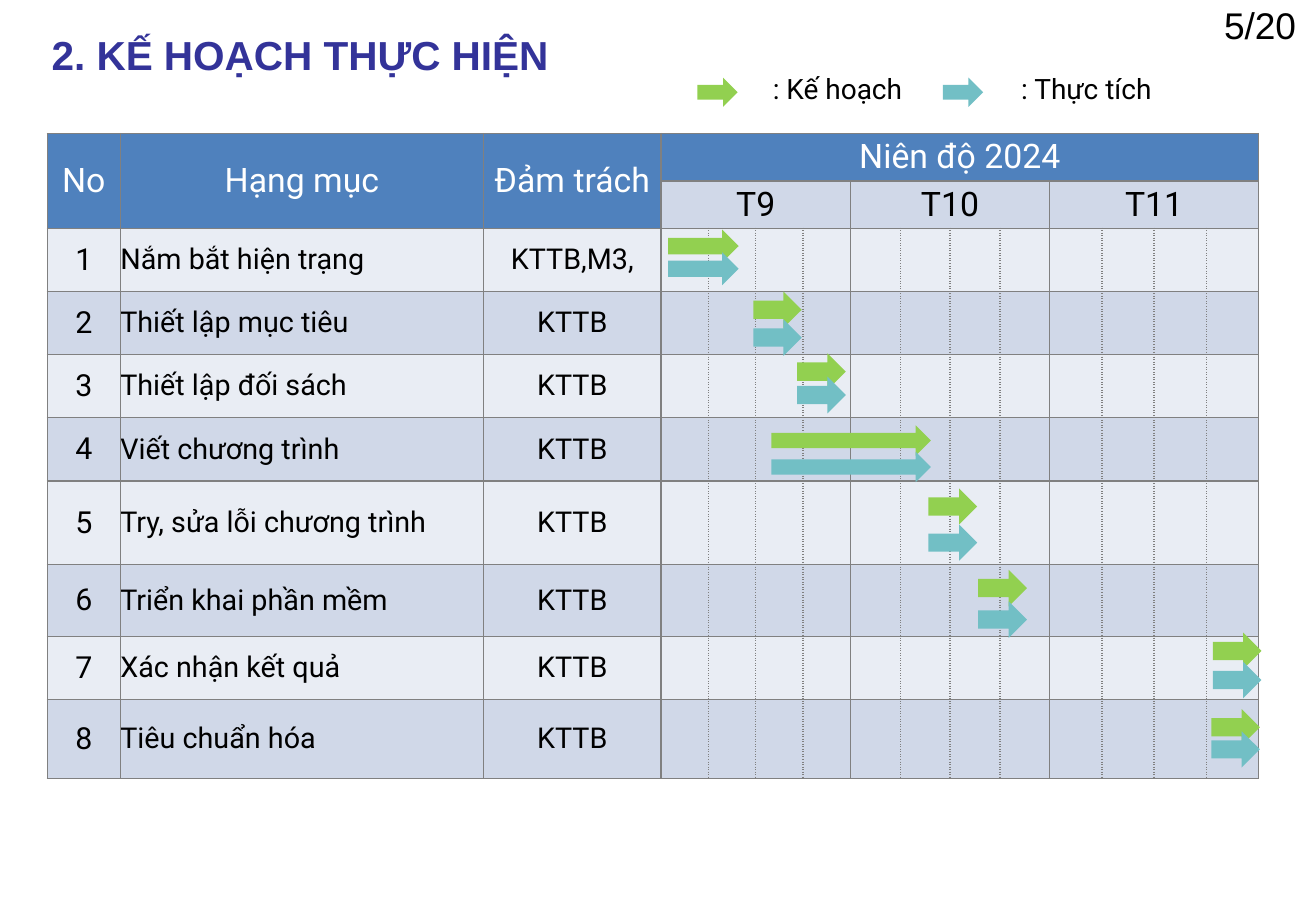
from dataclasses import dataclass

from lxml import etree
from pptx import Presentation
from pptx.dml.color import RGBColor
from pptx.enum.shapes import MSO_SHAPE
from pptx.enum.text import MSO_ANCHOR, MSO_AUTO_SIZE, PP_ALIGN
from pptx.oxml.ns import qn
from pptx.util import Inches, Pt

CENTER, LEFT = PP_ALIGN.CENTER, PP_ALIGN.LEFT
TOP, MIDDLE = MSO_ANCHOR.TOP, MSO_ANCHOR.MIDDLE
RIGHT_ARROW = MSO_SHAPE.RIGHT_ARROW
NO_AUTOFIT = MSO_AUTO_SIZE.NONE

PAGE_WIDTH, PAGE_HEIGHT = 10.83, 7.5
TABLE_LEFT, TABLE_TOP = 0.39, 1.1
WEEKS_PER_MONTH = 4
MONTHS = {"T9": 0.39, "T10": 0.41, "T11": 0.43}  # width of one week
WEEK_WIDTHS = [width for width in MONTHS.values() for _ in range(WEEKS_PER_MONTH)]
LABEL_WIDTHS = [0.6, 2.99, 1.46]
LABEL_COUNT = len(LABEL_WIDTHS)
COLUMN_WIDTHS = LABEL_WIDTHS + WEEK_WIDTHS
HEADER_HEIGHTS = [0.39, 0.39]
HEADER_COUNT = len(HEADER_HEIGHTS)

BLACK, WHITE, NAVY = "000000", "FFFFFF", "333399"
BLUE, PALE_BLUE, PALE_GRAY, GRAY = "4F81BD", "D0D8E8", "E9EDF4", "808080"
PLAN_GREEN, ACTUAL_TEAL = "92D050", "72BFC5"


@dataclass(frozen=True)
class Area:
    """A rectangle in inches."""
    left: float
    top: float
    width: float
    height: float


@dataclass(frozen=True)
class Style:
    size: float
    color: str = BLACK
    font: str = "Roboto"
    bold: bool = False
    align: PP_ALIGN = CENTER


@dataclass(frozen=True)
class Task:
    """Start and end count weeks; arrow tops and height are shares of the row."""
    name: str
    row_height: float
    start: float
    end: float
    plan_top: float
    actual_top: float
    arrow_height: float
    owner: str = "KTTB"


@dataclass(frozen=True)
class LegendItem:
    """Positions are percentages of the page width."""
    label: str
    color: str
    arrow_left: float
    label_left: float


TASKS = [
    Task("Nắm bắt hiện trạng", 0.52, 0.15, 1.64, 0.02, 0.38, 0.52, "KTTB,M3,"),
    Task("Thiết lập mục tiêu", 0.52, 1.95, 2.97, 0, 0.44, 0.58),
    Task("Thiết lập đối sách", 0.52, 2.87, 3.9, -0.02, 0.35, 0.58),
    Task("Viết chương trình", 0.52, 2.33, 5.61, 0.12, 0.54, 0.48),
    Task("Try, sửa lỗi chương trình", 0.69, 5.56, 6.54, 0.09, 0.52, 0.43),
    Task("Triển khai phần mềm", 0.59, 6.56, 7.54, 0.07, 0.51, 0.51),
    Task("Xác nhận kết quả", 0.52, 11.12, 12.05, -0.06, 0.4, 0.58),
    Task("Tiêu chuẩn hóa", 0.65, 11.09, 12.02, 0.12, 0.4, 0.46),
]
LEGEND = [
    LegendItem(": Kế hoạch", PLAN_GREEN, 53, 55.96),
    LegendItem(": Thực tích", ACTUAL_TEAL, 71.65, 74.88),
]
ROW_HEIGHTS = HEADER_HEIGHTS + [task.row_height for task in TASKS]


def rgb(color: str) -> RGBColor:
    return RGBColor.from_string(color)


def page_area(left: float, top: float, width: float, height: float) -> Area:
    """Turn percentages of the page into inches."""
    return Area(left * PAGE_WIDTH / 100, top * PAGE_HEIGHT / 100,
                width * PAGE_WIDTH / 100, height * PAGE_HEIGHT / 100)


def week_left(week: float) -> float:
    whole = min(int(week), len(WEEK_WIDTHS) - 1)
    return (TABLE_LEFT + sum(LABEL_WIDTHS) + sum(WEEK_WIDTHS[:whole])
            + (week - whole) * WEEK_WIDTHS[whole])


def write(frame, text: str, style: Style) -> None:
    para = frame.paragraphs[0]
    para.text = text
    para.alignment = style.align
    for span in para.runs:
        span.font.size = Pt(style.size)
        span.font.name = style.font
        span.font.bold = style.bold
        span.font.color.rgb = rgb(style.color)


def add_label(page, area: Area, text: str, style: Style, inset: bool = True) -> None:
    box = page.shapes.add_textbox(Inches(area.left), Inches(area.top),
                                  Inches(area.width), Inches(area.height))
    frame = box.text_frame
    frame.word_wrap = True
    frame.vertical_anchor = MIDDLE
    if not inset:
        frame.margin_left = frame.margin_right = frame.margin_top = frame.margin_bottom = 0
    write(frame, text, style)


def add_arrow(page, area: Area, color: str) -> None:
    arrow = page.shapes.add_shape(RIGHT_ARROW, Inches(area.left), Inches(area.top),
                                  Inches(area.width), Inches(area.height))
    arrow.shadow.inherit = False
    arrow.fill.solid()
    arrow.fill.fore_color.rgb = rgb(color)
    arrow.line.fill.background()


def set_borders(cell, dotted_sides: str) -> None:
    properties = cell._tc.get_or_add_tcPr()
    for side in "LRTB":
        line = etree.SubElement(properties, qn(f"a:ln{side}"), w=str(Pt(1)))
        fill = etree.SubElement(line, qn("a:solidFill"))
        etree.SubElement(fill, qn("a:srgbClr"), val=GRAY)
        dash = "sysDot" if side in dotted_sides else "solid"
        etree.SubElement(line, qn("a:prstDash"), val=dash)


def cell_color(row: int, column: int) -> str:
    if row == 0 or (row < HEADER_COUNT and column < LABEL_COUNT):
        return BLUE
    return PALE_BLUE if row % 2 else PALE_GRAY


def dotted_sides(row: int, column: int) -> str:
    """Weeks inside one month are parted by dotted lines."""
    if row < HEADER_COUNT or column < LABEL_COUNT:
        return ""
    week = (column - LABEL_COUNT) % WEEKS_PER_MONTH
    return ("L" if week > 0 else "") + ("R" if week < WEEKS_PER_MONTH - 1 else "")


def add_schedule(page) -> None:
    table = page.shapes.add_table(
        len(ROW_HEIGHTS), len(COLUMN_WIDTHS), Inches(TABLE_LEFT), Inches(TABLE_TOP),
        Inches(sum(COLUMN_WIDTHS)), Inches(sum(ROW_HEIGHTS))).table
    table.first_row = table.horz_banding = False
    for column, width in zip(table.columns, COLUMN_WIDTHS):
        column.width = Inches(width)
    for row_index, height in enumerate(ROW_HEIGHTS):
        table.rows[row_index].height = Inches(height)
        for column_index in range(len(COLUMN_WIDTHS)):
            cell = table.cell(row_index, column_index)
            cell.margin_left = cell.margin_right = cell.margin_top = cell.margin_bottom = 0
            cell.vertical_anchor = MIDDLE
            set_borders(cell, dotted_sides(row_index, column_index))
            cell.fill.solid()
            cell.fill.fore_color.rgb = rgb(cell_color(row_index, column_index))

    for column_index, text in enumerate(["No", "Hạng mục", "Đảm trách", "Niên độ 2024"]):
        cell = table.cell(0, column_index)
        is_label = column_index < LABEL_COUNT
        cell.merge(table.cell(1, column_index) if is_label
                   else table.cell(0, len(COLUMN_WIDTHS) - 1))
        write(cell.text_frame, text, Style(20, WHITE))
    for month_index, month in enumerate(MONTHS):
        first = LABEL_COUNT + month_index * WEEKS_PER_MONTH
        cell = table.cell(1, first)
        cell.merge(table.cell(1, first + WEEKS_PER_MONTH - 1))
        write(cell.text_frame, month, Style(20))
    for number, task in enumerate(TASKS, 1):
        entries = [(str(number), Style(18)), (task.name, Style(17, align=LEFT)),
                   (task.owner, Style(17))]
        for column_index, (text, style) in enumerate(entries):
            cell = table.cell(HEADER_COUNT + number - 1, column_index)
            write(cell.text_frame, text, style)


def add_task_arrows(page) -> None:
    row_top = TABLE_TOP + sum(HEADER_HEIGHTS)
    for task in TASKS:
        left = week_left(task.start)
        for share, color in ((task.plan_top, PLAN_GREEN), (task.actual_top, ACTUAL_TEAL)):
            add_arrow(page, Area(left, row_top + share * task.row_height,
                                 week_left(task.end) - left,
                                 task.arrow_height * task.row_height), color)
        row_top += task.row_height


def add_title(page) -> None:
    title, area = page.shapes.title, page_area(0.09, 2.67, 45.43, 6.67)
    title.left, title.top = Inches(area.left), Inches(area.top)
    title.width, title.height = Inches(area.width), Inches(area.height)
    title.text_frame.vertical_anchor = TOP
    title.text_frame.auto_size = NO_AUTOFIT
    write(title.text_frame, "2. KẾ HOẠCH THỰC HIỆN", Style(24, NAVY, "Arial", True))


def main() -> None:
    deck = Presentation()
    deck.slide_width, deck.slide_height = Inches(PAGE_WIDTH), Inches(PAGE_HEIGHT)
    page = deck.slides.add_slide(deck.slide_layouts[5])
    add_title(page)
    add_label(page, page_area(91.32, 0, 8.86, 5.33), "5/20", Style(22, font="Arial"), False)
    add_schedule(page)
    for item in LEGEND:
        add_arrow(page, page_area(item.arrow_left, 8.53, 3.05, 3.2), item.color)
        add_label(page, page_area(item.label_left, 7.73, 15.33, 3.87), item.label, Style(16.6))
    add_task_arrows(page)
    deck.save("out.pptx")


if __name__ == "__main__":
    main()
